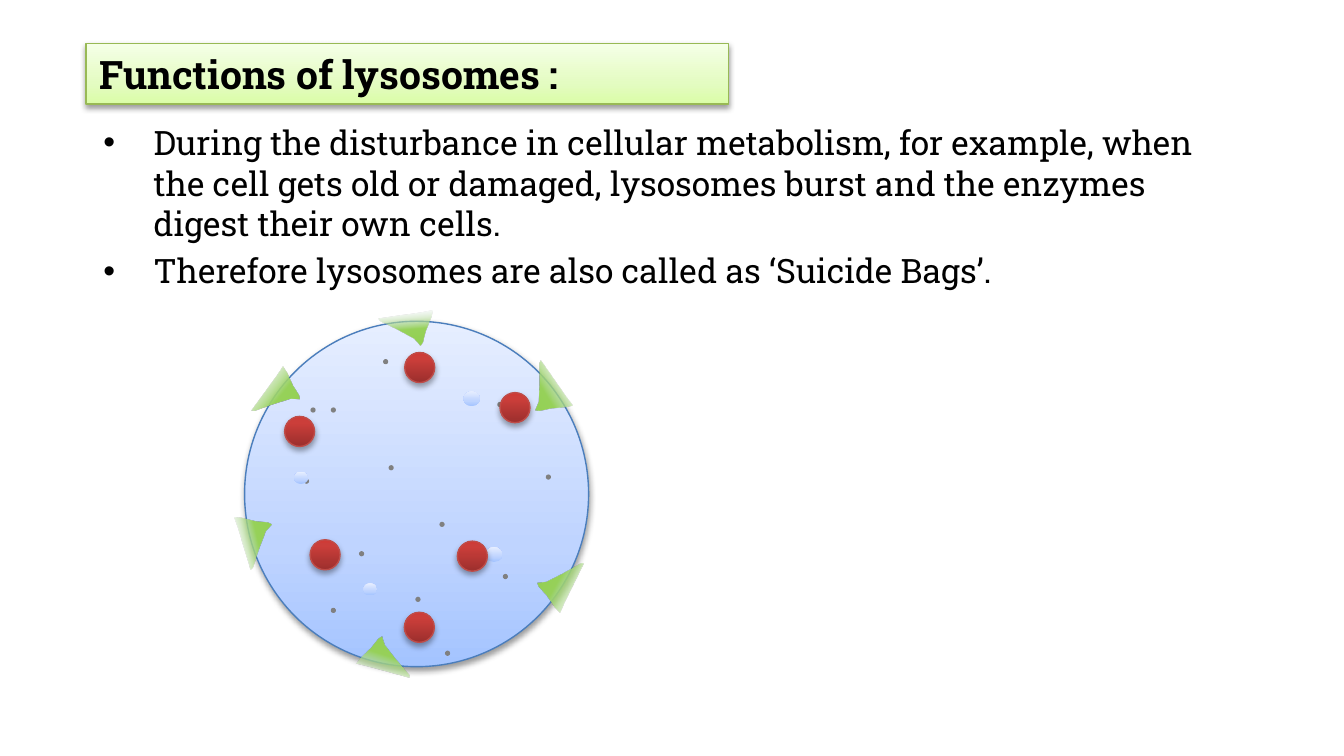
from lxml.etree import SubElement
from pptx import Presentation
from pptx.dml.color import RGBColor as RGB
from pptx.enum.shapes import MSO_SHAPE as SHAPE
from pptx.enum.text import MSO_ANCHOR as ANCHOR, PP_ALIGN as ALIGN
from pptx.oxml.ns import qn
from pptx.util import Inches, Pt

W = Inches(10)
H = W * 9 // 16
FONT = "Roboto Slab"
C = {
    "text": "000000", "shadow": "000000", "granule": "808080",
    "title_line": "98B955", "cell_line": "4B7EBC", "enzyme_line": "BF4C48",
}
GRADS = {
    "title": [(0, "DAFDA7", 100), (35, "E4FCC2", 100), (100, "F5FFE7", 100)],
    "cell": [(0, "A4C4FF", 100), (35, "BFD4FF", 100), (100, "E6EEFF", 100)],
    "enzyme": [(0, "9C2F2D", 100), (80, "CB3E3A", 100), (100, "CE3B37", 100)],
    "wedge": [(0, "92D050", 100), (50, "97D25A", 100), (100, "E1E8F5", 0)],
}
BULLETS = [
    ((6.7, 15.25, 85.8, 18), "During the disturbance in cellular metabolism, for example, when "
     "the cell gets old or damaged, lysosomes burst and the enzymes digest their own cells."),
    ((6.7, 32.2, 85.8, 7.1), "Therefore lysosomes are also called as ‘Suicide Bags’."),
]
GRANULES = [
    (50.4, 80.5), (34, 67.3), (18, 46.3), (19.9, 25.7), (41, 11.7), (74.2, 24.1), (88.3, 45.1),
    (75.8, 73.9), (59, 96.1), (25.8, 83.7), (57.4, 58.8), (42.6, 42.4), (25.8, 25.7),
]
BUBBLES = [(16.4, 45.3, 4, 3.5), (36.5, 77.6, 4, 3.5), (66, 22.4, 4.8, 4.3), (72.5, 67.5, 4.8, 4.3)]
ENZYMES = [(50.9, 13.4), (23.4, 67.6), (66.2, 68), (50.8, 88.6), (78.6, 25), (16, 31.9)]
WEDGES = [
    (47.1, 2.3, 265), (86.9, 20.2, 328.4), (91.2, 75.1, 29),
    (41.6, 96.9, 108.7), (3.7, 63.4, 166.7), (10, 22.2, 218.8),
]
WEDGE_OUTLINE = [
    (0, 72), (22, 62), (50, 36), (82, 3), (90, 0), (97, 80), (100, 100), (80, 96), (42, 84), (10, 77),
]


def part(box, x, y, w, h):
    left, top, width, height = box
    return (int(left + width * x / 100), int(top + height * y / 100),
            int(width * w / 100), int(height * h / 100))


def centred(box, x, y, w, h):
    return part(box, x - w / 2, y - h / 2, w, h)


def add_color(parent, color, alpha):
    clr = SubElement(parent, qn("a:srgbClr"), val=color)
    SubElement(clr, qn("a:alpha"), val=str(alpha * 1000))


def paint(s, grad=None, solid=None, line=None, angle=90, shadow=None):
    if grad:
        s.fill.gradient()
        s.fill.gradient_angle = angle
        stops = s._element.spPr.find(qn("a:gradFill")).find(qn("a:gsLst"))
        for old in list(stops):
            stops.remove(old)
        for pos, color, alpha in GRADS[grad]:
            add_color(SubElement(stops, qn("a:gs"), pos=str(pos * 1000)), color, alpha)
    else:
        s.fill.solid()
        s.fill.fore_color.rgb = RGB.from_string(C[solid])
    if line:
        s.line.color.rgb = RGB.from_string(C[line])
        s.line.width = Pt(0.75)
    else:
        s.line.fill.background()
    s.shadow.inherit = False
    if shadow:
        alpha, dist = shadow
        effects = s._element.spPr.find(qn("a:effectLst"))
        outer = SubElement(effects, qn("a:outerShdw"), blurRad=str(Pt(3.1)), dist=str(Pt(dist)),
                           dir="5400000", rotWithShape="0")
        add_color(outer, C["shadow"], alpha)


def style(p, size, bold=False):
    p.alignment = ALIGN.LEFT
    for r in p.runs:
        r.font.name, r.font.size, r.font.bold = FONT, Pt(size), bold
        r.font.color.rgb = RGB.from_string(C["text"])


def add_title(slide, box):
    s = slide.shapes.add_shape(SHAPE.RECTANGLE, *box)
    paint(s, "title", line="title_line", shadow=(38, 1.6))
    tf = s.text_frame
    tf.vertical_anchor = ANCHOR.MIDDLE
    tf.text = "Functions of lysosomes :"
    style(tf.paragraphs[0], 21, True)


def add_bullet(slide, box, text):
    tf = slide.shapes.add_textbox(*box).text_frame
    tf.word_wrap = True
    tf.text = text
    p = tf.paragraphs[0]
    p.line_spacing = Pt(21.7)
    pPr = p._p.get_or_add_pPr()
    pPr.set("marL", str(Pt(27)))
    pPr.set("indent", str(-Pt(27)))
    SubElement(pPr, qn("a:buFont"), typeface="Arial")
    SubElement(pPr, qn("a:buChar"), char="•")
    style(p, 18)


def add_disc(slide, box, **look):
    paint(slide.shapes.add_shape(SHAPE.OVAL, *box), **look)


def add_wedge(slide, box, rotation):
    points = [part(box, x, y, 0, 0)[:2] for x, y in WEDGE_OUTLINE]
    builder = slide.shapes.build_freeform(*points[0])
    builder.add_line_segments(points[1:], close=True)
    s = builder.convert_to_shape()
    s.rotation = rotation
    paint(s, "wedge", angle=0)


def add_cell(slide, box):
    add_disc(slide, box, grad="cell", line="cell_line", shadow=(38, 1.6))
    for x, y in GRANULES:
        add_disc(slide, centred(box, x, y, 1.5, 1.5), solid="granule")
    for bubble in BUBBLES:
        add_disc(slide, centred(box, *bubble), grad="cell")
    for x, y in ENZYMES:
        add_disc(slide, centred(box, x, y, 8.7, 8.7), grad="enzyme", line="enzyme_line",
                 shadow=(35, 1.8))
    for x, y, rotation in WEDGES:
        add_wedge(slide, centred(box, x, y, 9.8, 15.6), rotation)


def main():
    prs = Presentation()
    prs.slide_width, prs.slide_height = W, H
    slide = prs.slides.add_slide(prs.slide_layouts[6])
    page = (0, 0, W, H)
    add_cell(slide, part(page, 18.2, 42.5, 25.6, 45.7))
    for box, text in BULLETS:
        add_bullet(slide, part(page, *box), text)
    add_title(slide, part(page, 6.4, 5.75, 47.8, 8))
    prs.save("out.pptx")


if __name__ == "__main__":
    main()
